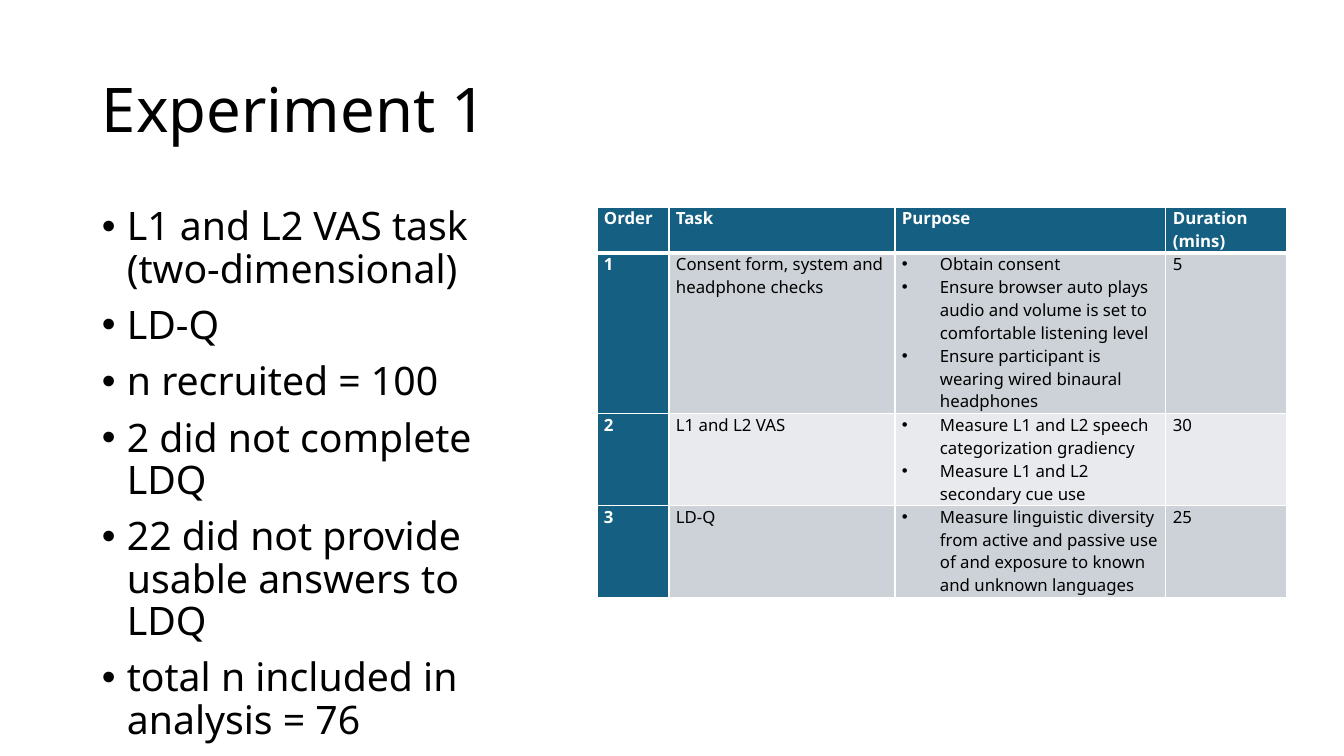
"""Builds the Experiment 1 slide: a bulleted summary beside a task table."""
from lxml.etree import SubElement
from pptx import Presentation
from pptx.dml.color import RGBColor as Color
from pptx.enum.text import MSO_ANCHOR as Anchor, MSO_AUTO_SIZE as AutoSize
from pptx.oxml.ns import qn
from pptx.util import Pt

TITLE = "Experiment 1"
SUMMARY = [
    "L1 and L2 VAS task (two-dimensional)",
    "LD-Q",
    "n recruited = 100",
    "2 did not complete LDQ",
    "22 did not provide usable answers to LDQ",
    "total n included in analysis = 76",
]
HEADINGS = ["Order", "Task", "Purpose", "Duration (mins)"]
TASKS = [
    ("1", "Consent form, system and headphone checks", [
        "Obtain consent",
        "Ensure browser auto plays audio and volume is set to comfortable listening level",
        "Ensure participant is wearing wired binaural headphones",
    ], "5"),
    ("2", "L1 and L2 VAS", [
        "Measure L1 and L2 speech categorization gradiency",
        "Measure L1 and L2 secondary cue use",
    ], "30"),
    ("3", "LD-Q", [
        "Measure linguistic diversity from active and passive use of "
        "and exposure to known and unknown languages",
    ], "25"),
]

THEME = {
    "font": "Noto Sans", "title": 44, "body": 28, "cell": 12,
    "ink": "000000", "paper": "FFFFFF", "accent": "156082",
    "bands": ["CCD2D8", "E8EAED"],
}
SLIDE = (1344, 756)
TITLE_AREA = (92, 40, 1159, 146)
SUMMARY_AREA = (92, 202, 462, 480)
TABLE_ORIGIN = (597, 207)
COLUMNS = [72, 226, 271, 121]
ROWS = [45, 161, 91, 92]
CELL_INSET = 7
SUMMARY_INDENT, CELL_INDENT = 25, 38
PROSE = {"line_spacing": 0.9}


def px(length):
    return round(length * 12192000 / SLIDE[0])


def assign(target, values):
    for name, value in values.items():
        setattr(target, name, value)


def add_bullet(para, indent):
    props = para._p.get_or_add_pPr()
    props.set("marL", str(px(indent)))
    props.set("indent", str(-px(indent)))
    SubElement(props, qn("a:buFont"), typeface="Arial")
    SubElement(props, qn("a:buChar"), char="•")


def write(frame, lines, size, color, bold=False, indent=0, spacing=None):
    for index, line in enumerate(lines):
        para = frame.add_paragraph() if index else frame.paragraphs[0]
        assign(para, spacing or {})
        if indent:
            add_bullet(para, indent)
        span = para.add_run()
        span.text = line
        assign(span.font, {"name": THEME["font"], "size": Pt(size), "bold": bold})
        span.font.color.rgb = Color.from_string(color)


def add_text(page, area, lines, size, anchor, **style):
    box = page.shapes.add_textbox(*map(px, area))
    assign(box.text_frame, {"word_wrap": True, "auto_size": AutoSize.NONE,
                            "vertical_anchor": anchor})
    write(box.text_frame, lines, size, THEME["ink"], **style)


def add_borders(cell, bottom):
    props = cell._tc.get_or_add_tcPr()
    for side, width in {"L": 1, "R": 1, "T": 1, "B": bottom}.items():
        line = SubElement(props, qn(f"a:ln{side}"), w=str(Pt(width)))
        SubElement(SubElement(line, qn("a:solidFill")), qn("a:srgbClr"), val=THEME["paper"])


def fill_cell(cell, content, row, column):
    strong = row == 0 or column == 0
    listed = isinstance(content, list)
    assign(cell, {"margin_left": px(CELL_INSET), "margin_right": px(CELL_INSET),
                  "margin_top": 0, "margin_bottom": 0})
    write(cell.text_frame, content if listed else [content], THEME["cell"],
          THEME["paper" if strong else "ink"], bold=strong,
          indent=CELL_INDENT if listed else 0)
    add_borders(cell, 1 if row else 3)
    cell.fill.solid()
    shade = THEME["accent"] if strong else THEME["bands"][(row - 1) % 2]
    cell.fill.fore_color.rgb = Color.from_string(shade)


def add_tasks(page):
    size = (sum(COLUMNS), sum(ROWS))
    table = page.shapes.add_table(len(ROWS), len(COLUMNS),
                                  *map(px, TABLE_ORIGIN + size)).table
    for column, width in zip(table.columns, COLUMNS):
        column.width = px(width)
    for row, height in zip(table.rows, ROWS):
        row.height = px(height)
    for row, contents in enumerate([HEADINGS, *TASKS]):
        for column, content in enumerate(contents):
            fill_cell(table.cell(row, column), content, row, column)


def main():
    deck = Presentation()
    assign(deck, {"slide_width": px(SLIDE[0]), "slide_height": px(SLIDE[1])})
    page = deck.slides.add_slide(deck.slide_layouts[6])
    add_text(page, TITLE_AREA, [TITLE], THEME["title"], Anchor.MIDDLE, spacing=PROSE)
    add_text(page, SUMMARY_AREA, SUMMARY, THEME["body"], Anchor.TOP,
             indent=SUMMARY_INDENT, spacing={**PROSE, "space_before": Pt(10)})
    add_tasks(page)
    deck.save("out.pptx")


if __name__ == "__main__":
    main()
